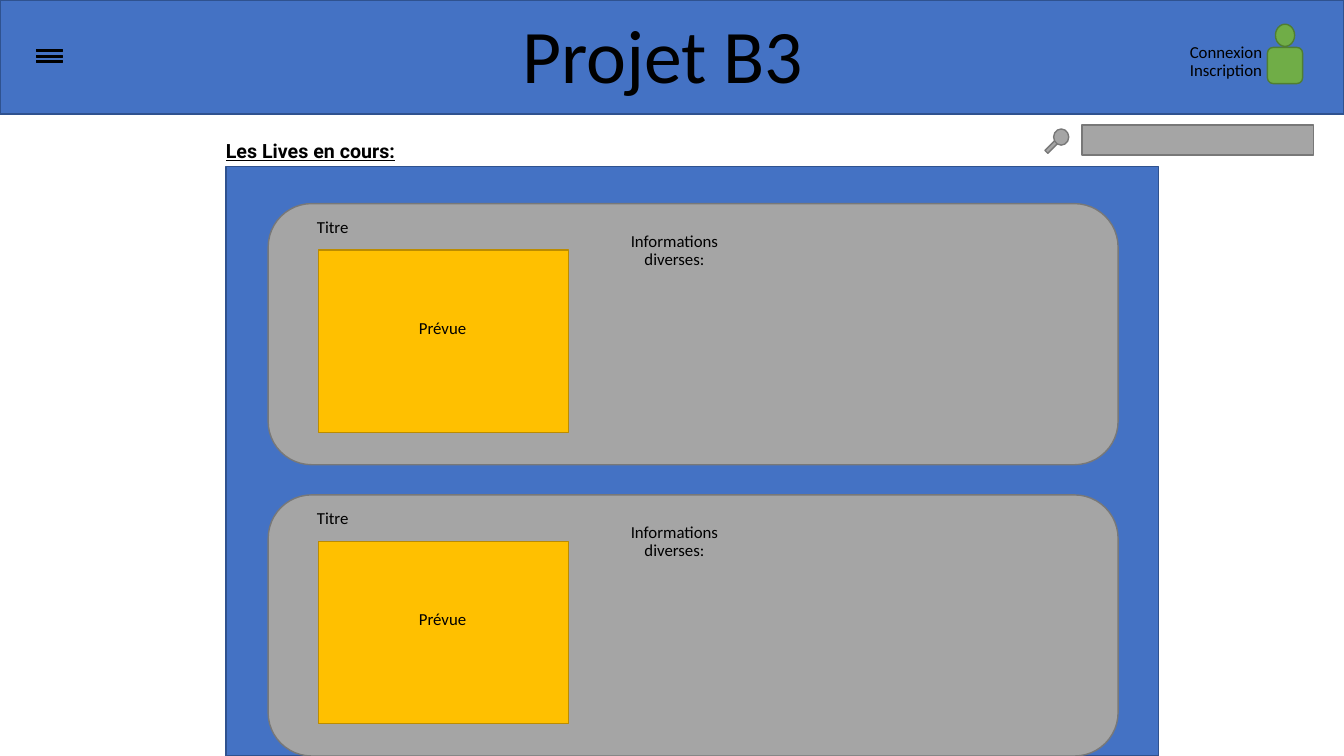
from dataclasses import dataclass

from pptx import Presentation
from pptx.dml.color import RGBColor
from pptx.enum.shapes import MSO_SHAPE
from pptx.enum.text import MSO_ANCHOR, MSO_AUTO_SIZE, PP_ALIGN
from pptx.util import Inches, Pt


@dataclass(frozen=True)
class Theme:
    blue: tuple = ("4472C4", "2F528F")
    gray: tuple = ("A5A5A5", "787878")
    gold: tuple = ("FFC000", "BC8C00")
    green: tuple = ("70AD47", "507E32")
    black: tuple = ("000000", "000000")
    text: str = "000000"
    font: str = "Calibri"
    heading_font: str = "Roboto"
    title_size: int = 54
    heading_size: int = 14
    label_size: int = 12


THEME = Theme()
CARD_TOP = 2.02
CARD_STEP = 2.89


def add_block(s, kind, x, y, w, h, colors, rotation=0):
    """Add a preset shape with a (fill, outline) colour pair."""
    sp = s.shapes.add_shape(kind, Inches(x), Inches(y), Inches(w), Inches(h))
    fill, line = colors
    sp.shadow.inherit = False
    sp.fill.solid()
    sp.fill.fore_color.rgb = RGBColor.from_string(fill)
    sp.line.color.rgb = RGBColor.from_string(line)
    sp.line.width = Pt(1)
    sp.rotation = rotation


def write(sp, text, size, font=THEME.font, spacing=0.9, strong=False):
    """Fill a shape with one centred, bottom-anchored paragraph."""
    tf = sp.text_frame
    tf.word_wrap = True
    tf.auto_size = MSO_AUTO_SIZE.NONE
    tf.vertical_anchor = MSO_ANCHOR.BOTTOM
    p = tf.paragraphs[0]
    p.alignment = PP_ALIGN.CENTER
    p.line_spacing = spacing
    p.space_before = Pt(0)
    r = p.add_run()
    r.text = text
    r.font.name = font
    r.font.size = Pt(size)
    r.font.color.rgb = RGBColor.from_string(THEME.text)
    if strong:
        r.font.bold = r.font.underline = True


def add_label(s, text, x, y):
    sp = s.shapes.add_textbox(Inches(x), Inches(y), Inches(1.16), Inches(0.21))
    write(sp, text, THEME.label_size)


def add_title(s):
    title = s.shapes.title
    title.left, title.top = Inches(-0.09), Inches(0.14)
    title.width, title.height = Inches(13.33), Inches(0.88)
    write(title, "Projet B3", THEME.title_size, spacing=0.8)
    # The banner is drawn after the placeholder, so bring the title forward.
    title.element.getparent().append(title.element)


def add_heading(s):
    sp = s.shapes.add_textbox(Inches(1.96), Inches(1.27), Inches(2.24), Inches(0.39))
    write(sp, "Les Lives en cours:", THEME.heading_size, THEME.heading_font, strong=True)


def add_menu_icon(s):
    for y in (0.49, 0.55, 0.6):
        add_block(s, MSO_SHAPE.RECTANGLE, 0.36, y, 0.26, 0.02, THEME.black)


def add_account(s):
    add_block(s, MSO_SHAPE.ROUNDED_RECTANGLE, 12.57, 0.47, 0.35, 0.36, THEME.green)
    add_block(s, MSO_SHAPE.OVAL, 12.65, 0.24, 0.19, 0.22, THEME.green)
    add_label(s, "Connexion", 11.58, 0.46)
    add_label(s, "Inscription", 11.58, 0.63)


def add_search(s):
    add_block(s, MSO_SHAPE.RECTANGLE, 10.35, 1.42, 0.19, 0.04, THEME.gray, rotation=315)
    add_block(s, MSO_SHAPE.RECTANGLE, 10.73, 1.24, 2.3, 0.3, THEME.gray)
    add_block(s, MSO_SHAPE.OVAL, 10.45, 1.28, 0.15, 0.16, THEME.gray)


def add_live_card(s, y):
    add_block(s, MSO_SHAPE.ROUNDED_RECTANGLE, 2.66, y, 8.43, 2.59, THEME.gray)
    add_label(s, "Titre", 2.72, y + 0.17)
    add_block(s, MSO_SHAPE.RECTANGLE, 3.16, y + 0.46, 2.48, 1.81, THEME.gold)
    add_label(s, "Prévue", 3.81, y + 1.17)
    add_label(s, "Informations diverses:", 6.11, y + 0.49)


def main():
    prs = Presentation()
    prs.slide_width, prs.slide_height = Inches(13.33), Inches(7.5)
    s = prs.slides.add_slide(prs.slide_layouts[5])
    add_block(s, MSO_SHAPE.RECTANGLE, 2.24, 1.65, 9.25, 5.85, THEME.blue)
    add_block(s, MSO_SHAPE.RECTANGLE, 0, 0, 13.33, 1.13, THEME.blue)
    add_title(s)
    add_menu_icon(s)
    add_account(s)
    add_heading(s)
    for i in range(2):
        add_live_card(s, CARD_TOP + i * CARD_STEP)
    add_search(s)
    prs.save("out.pptx")


if __name__ == "__main__":
    main()
